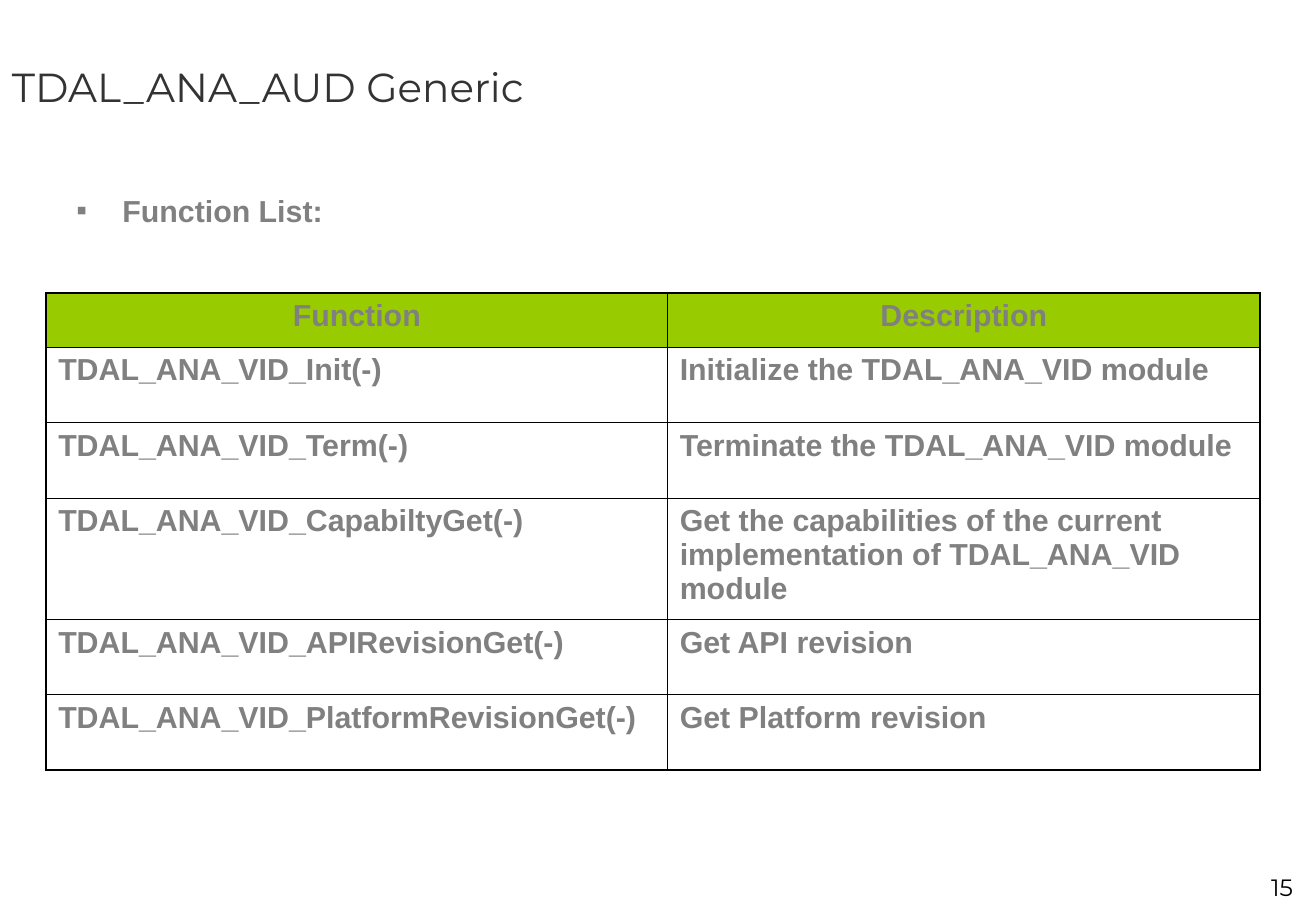
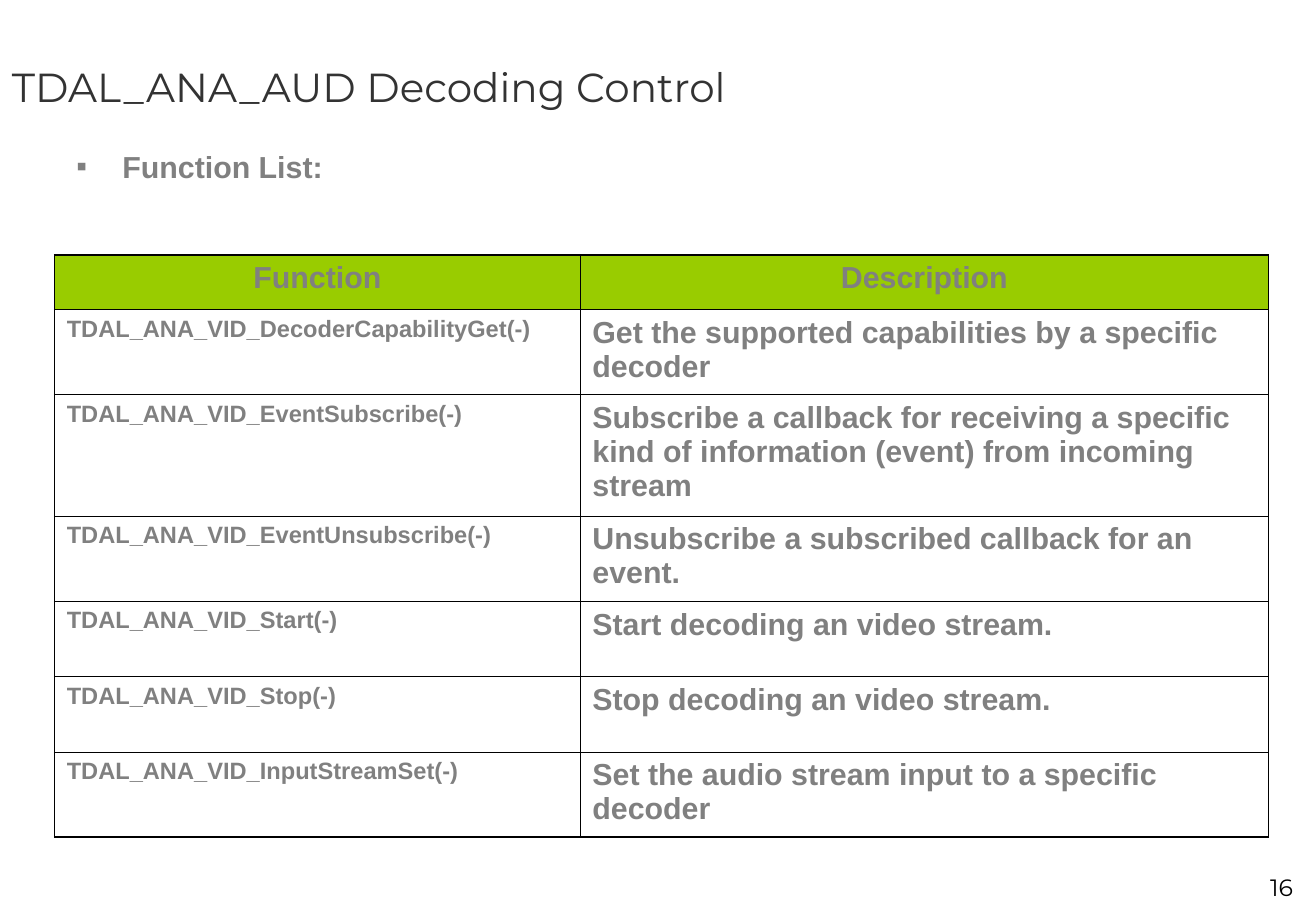
from pptx import Presentation
from pptx.dml.color import RGBColor
from pptx.enum.text import MSO_ANCHOR as Anchor, PP_ALIGN as Align
from pptx.oxml.ns import qn
from pptx.util import Inches, Pt
from lxml.etree import SubElement

# Shared style
HEADING_FONT, BODY_FONT = "Montserrat", "Arial"
TITLE_COLOR, TEXT_COLOR, NUMBER_COLOR = "333333", "808080", "000000"
HEADER_FILL, BORDER_COLOR = "99CC00", "000000"
OUTER_BORDER, INNER_BORDER = Pt(1.08), Pt(0.45)
HEADER_ROW = ("Function", "Description")

# Content of each slide
pages = [
    dict(
        title="TDAL_ANA_AUD Generic", number=15, label_inset=0.43,
        left=0.38, top=2.41, widths=(5.12, 4.88), name_size=18,
        heights=(0.45, 0.62, 0.62, 1, 0.62, 0.62),
        functions=[
            ("TDAL_ANA_VID_Init(-)", "Initialize the TDAL_ANA_VID module"),
            ("TDAL_ANA_VID_Term(-)", "Terminate the TDAL_ANA_VID module"),
            ("TDAL_ANA_VID_CapabiltyGet(-)",
             "Get the capabilities of the current implementation of TDAL_ANA_VID module"),
            ("TDAL_ANA_VID_APIRevisionGet(-)", "Get API revision"),
            ("TDAL_ANA_VID_PlatformRevisionGet(-)", "Get Platform revision"),
        ],
    ),
    dict(
        title="TDAL_ANA_AUD Decoding Control", number=16, label_inset=0.07,
        left=0.45, top=2.1, widths=(4.33, 5.67), name_size=14,
        heights=(0.45, 0.7, 1, 0.7, 0.62, 0.62, 0.7),
        functions=[
            ("TDAL_ANA_VID_DecoderCapabilityGet(-)",
             "Get the supported capabilities by a specific decoder"),
            ("TDAL_ANA_VID_EventSubscribe(-)",
             "Subscribe a callback for receiving a specific kind of information "
             "(event) from incoming stream"),
            ("TDAL_ANA_VID_EventUnsubscribe(-)",
             "Unsubscribe a subscribed callback for an event."),
            ("TDAL_ANA_VID_Start(-)", "Start decoding an video stream."),
            ("TDAL_ANA_VID_Stop(-)", "Stop decoding an video stream."),
            ("TDAL_ANA_VID_InputStreamSet(-)",
             "Set the audio stream input to a specific decoder"),
        ],
    ),
]


def write(frame, text, size, font, color, bold=False, align=Align.LEFT):
    frame.word_wrap = True
    frame.text = text
    paragraph = frame.paragraphs[0]
    paragraph.alignment = align
    run_font = paragraph.runs[0].font
    run_font.size, run_font.name, run_font.bold = Pt(size), font, bold
    run_font.color.rgb = RGBColor.from_string(color)
    return paragraph


def add_border(cell, side, width):
    line = SubElement(cell._tc.get_or_add_tcPr(), qn(f"a:ln{side}"), w=str(width))
    fill = SubElement(line, qn("a:solidFill"))
    SubElement(fill, qn("a:srgbClr"), val=BORDER_COLOR)


prs = Presentation()
prs.slide_width, prs.slide_height = Inches(10.84), Inches(7.5)

for page in pages:
    slide = prs.slides.add_slide(prs.slide_layouts[6])

    # Title
    title = slide.shapes.add_textbox(0, 0, Inches(10.83), Inches(1.42)).text_frame
    title.vertical_anchor = Anchor.MIDDLE
    write(title, page["title"], 24, HEADING_FONT, TITLE_COLOR)

    # Bulleted label
    label = slide.shapes.add_textbox(
        Inches(0.53), Inches(1.15), Inches(9.91), Inches(4.95)).text_frame
    label.margin_top = Inches(page["label_inset"])
    bullet = write(label, "Function List:", 18, BODY_FONT, TEXT_COLOR, bold=True)
    properties = bullet._p.get_or_add_pPr()
    properties.set("marL", str(Inches(0.38)))
    properties.set("indent", str(-Inches(0.38)))
    bullet_color = SubElement(properties, qn("a:buClr"))
    SubElement(bullet_color, qn("a:srgbClr"), val=TEXT_COLOR)
    SubElement(properties, qn("a:buFont"), typeface=BODY_FONT)
    SubElement(properties, qn("a:buChar"), char="▪")

    # Function table
    rows = [HEADER_ROW] + page["functions"]
    last_row = len(rows) - 1
    table = slide.shapes.add_table(
        len(rows), 2, Inches(page["left"]), Inches(page["top"]),
        Inches(sum(page["widths"])), Inches(sum(page["heights"]))).table
    table.first_row = table.horz_banding = False
    for column, width in zip(table.columns, page["widths"]):
        column.width = Inches(width)
    for r, (texts, height) in enumerate(zip(rows, page["heights"])):
        table.rows[r].height = Inches(height)
        for c, text in enumerate(texts):
            cell = table.cell(r, c)
            is_header = r == 0
            outer_sides = {"L": c == 0, "R": c == 1, "T": is_header, "B": r == last_row}
            for side, is_outer in outer_sides.items():
                add_border(cell, side, OUTER_BORDER if is_outer else INNER_BORDER)
            if is_header:
                cell.fill.solid()
                cell.fill.fore_color.rgb = RGBColor.from_string(HEADER_FILL)
            else:
                cell.fill.background()
            size = page["name_size"] if c == 0 and not is_header else 18
            write(cell.text_frame, text, size, BODY_FONT, TEXT_COLOR, bold=True,
                  align=Align.CENTER if is_header else Align.LEFT)

    # Slide number
    number = slide.shapes.add_textbox(
        Inches(9.59), Inches(7.14), Inches(1.16), Inches(0.33)).text_frame
    write(number, str(page["number"]), 14, HEADING_FONT, NUMBER_COLOR, align=Align.RIGHT)

prs.save("out.pptx")
